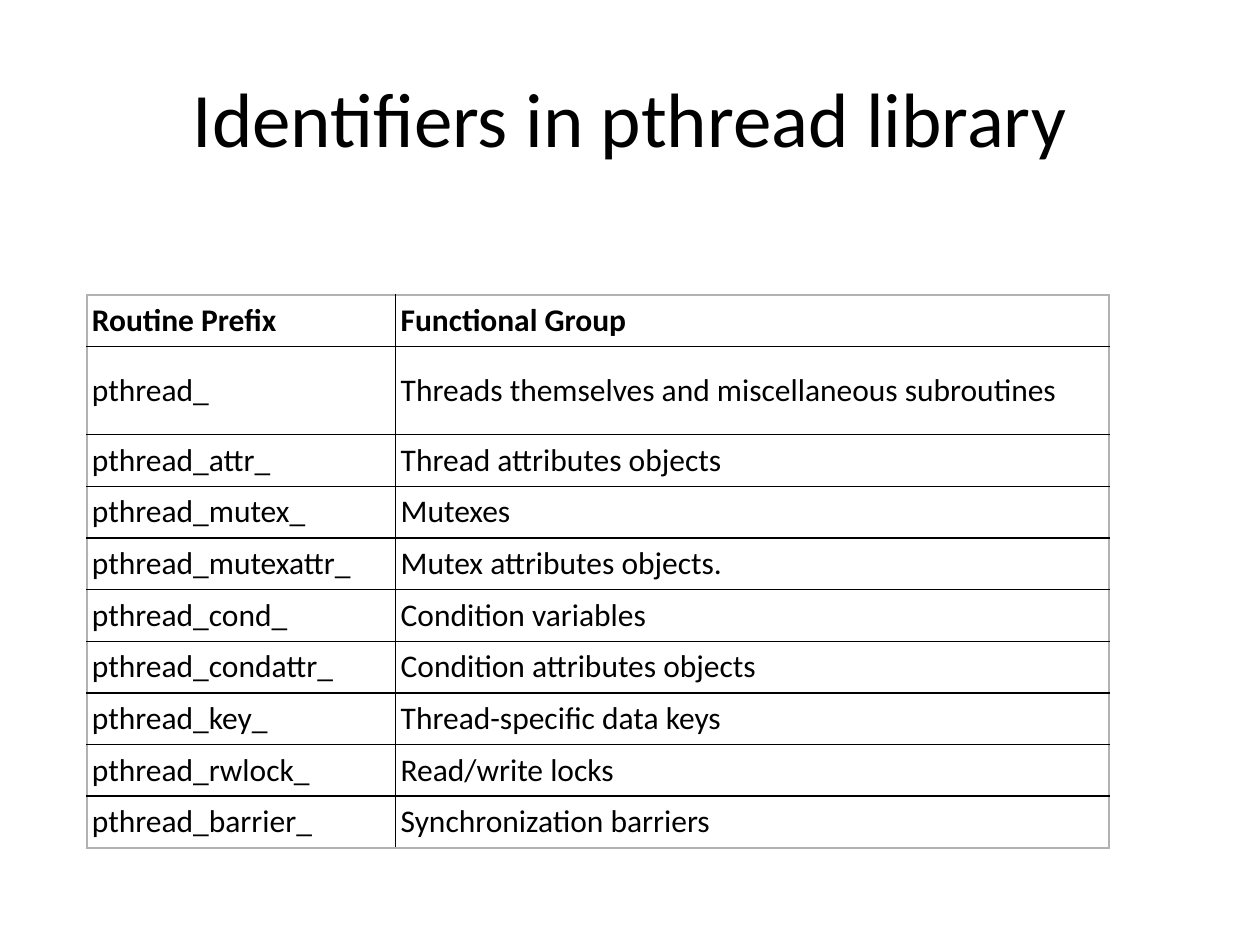
import pptx
import pptx.dml.color
import pptx.enum.text
import pptx.oxml
import pptx.oxml.ns
import pptx.util

Inches = pptx.util.Inches
Pt = pptx.util.Pt
RGBColor = pptx.dml.color.RGBColor
PP_ALIGN = pptx.enum.text.PP_ALIGN
MSO_ANCHOR = pptx.enum.text.MSO_ANCHOR

BLACK = RGBColor(0, 0, 0)
GRAY = RGBColor(0xB2, 0xB2, 0xB2)

ROUTINES = [
    ("Routine Prefix", "Functional Group"),
    ("pthread_", "Threads themselves and miscellaneous subroutines"),
    ("pthread_attr_", "Thread attributes objects"),
    ("pthread_mutex_", "Mutexes"),
    ("pthread_mutexattr_", "Mutex attributes objects."),
    ("pthread_cond_", "Condition variables"),
    ("pthread_condattr_", "Condition attributes objects"),
    ("pthread_key_", "Thread-specific data keys"),
    ("pthread_rwlock_", "Read/write locks"),
    ("pthread_barrier_", "Synchronization barriers"),
]
COLUMN_WIDTHS = [2.45, 5.66]
ROW_HEIGHTS = [0.41, 0.7] + [0.41] * 8


def write_text(frame, text, size=18, bold=False, align=PP_ALIGN.LEFT, font="Calibri", color=BLACK):
    frame.word_wrap = True
    paragraph = frame.paragraphs[0]
    paragraph.alignment = align
    run = paragraph.add_run()
    run.text = text
    run.font.name = font
    run.font.size = Pt(size)
    run.font.bold = bold
    run.font.color.rgb = color


class SlideBuilder:
    def __init__(self, slide, inner_color=BLACK, outer_color=GRAY, border_width=1):
        self.slide = slide
        self.inner_color = inner_color
        self.outer_color = outer_color
        self.border_width = border_width

    def title(self, text, left, top, width, height):
        shape = self.slide.shapes.add_textbox(Inches(left), Inches(top), Inches(width), Inches(height))
        shape.text_frame.vertical_anchor = MSO_ANCHOR.MIDDLE
        write_text(shape.text_frame, text, size=44, align=PP_ALIGN.CENTER)

    def borders(self, cell, outer_sides):
        properties = cell._tc.get_or_add_tcPr()
        for side in "LRTB":
            color = self.outer_color if side in outer_sides else self.inner_color
            properties.append(pptx.oxml.parse_xml(
                f'<a:ln{side} {pptx.oxml.ns.nsdecls("a")} w="{Pt(self.border_width)}">'
                f'<a:solidFill><a:srgbClr val="{color}"/></a:solidFill></a:ln{side}>'
            ))

    def table(self, rows, left, top, widths, heights):
        table = self.slide.shapes.add_table(
            len(rows), len(widths), Inches(left), Inches(top), Inches(sum(widths)), Inches(sum(heights))
        ).table
        table.horz_banding = False
        for column, width in zip(table.columns, widths):
            column.width = Inches(width)
        for row_index, texts in enumerate(rows):
            table.rows[row_index].height = Inches(heights[row_index])
            for column_index, text in enumerate(texts):
                cell = table.cell(row_index, column_index)
                outer_sides = [side for side, is_outer in (
                    ("L", column_index == 0),
                    ("R", column_index == len(widths) - 1),
                    ("T", row_index == 0),
                    ("B", row_index == len(rows) - 1),
                ) if is_outer]
                self.borders(cell, outer_sides)
                cell.fill.background()
                cell.vertical_anchor = MSO_ANCHOR.MIDDLE
                cell.margin_left = cell.margin_right = Inches(0.04)
                cell.margin_top = cell.margin_bottom = Inches(0.05)
                write_text(cell.text_frame, text, bold=row_index == 0)


def main():
    presentation = pptx.Presentation()
    presentation.slide_width = Inches(10)
    presentation.slide_height = Inches(7.5)
    builder = SlideBuilder(presentation.slides.add_slide(presentation.slide_layouts[6]))
    builder.title("Identifiers in pthread library", 0.5, 0.3, 9, 1.25)
    builder.table(ROUTINES, 0.69, 2.34, COLUMN_WIDTHS, ROW_HEIGHTS)
    presentation.save("out.pptx")


if __name__ == "__main__":
    main()
